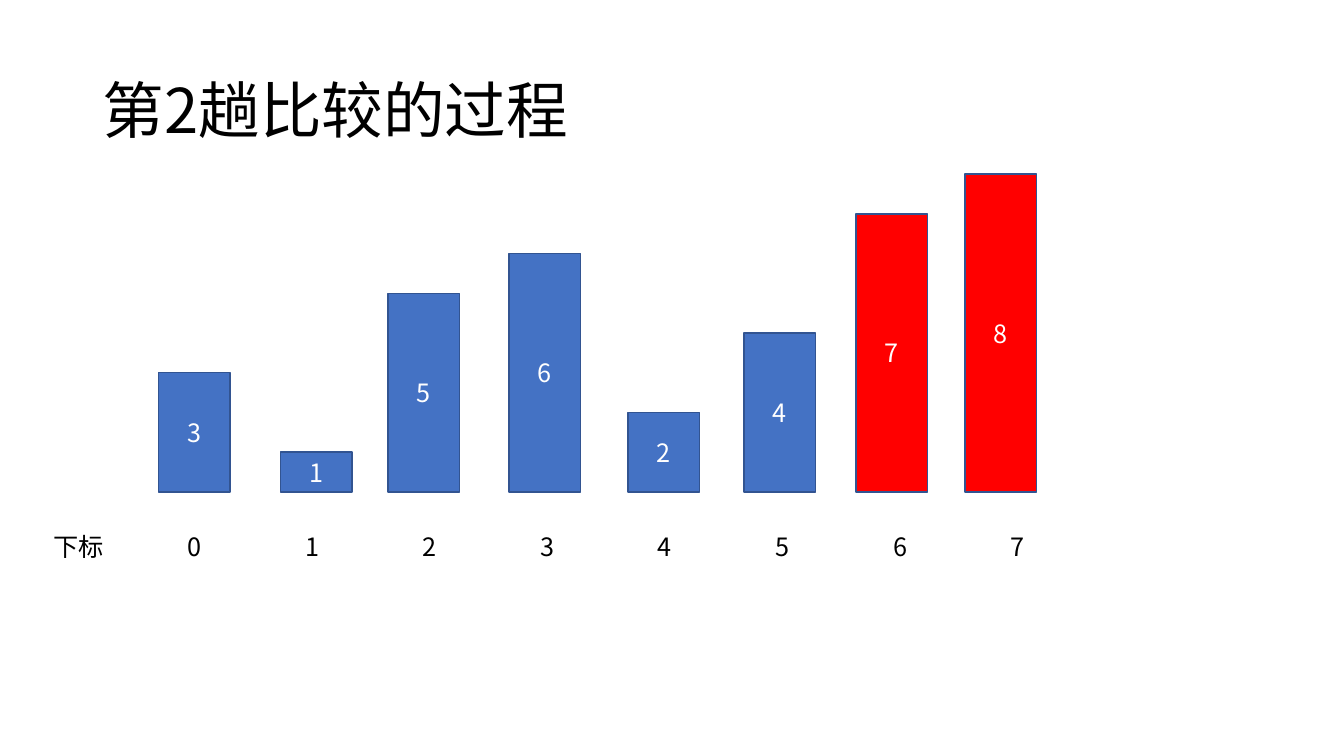
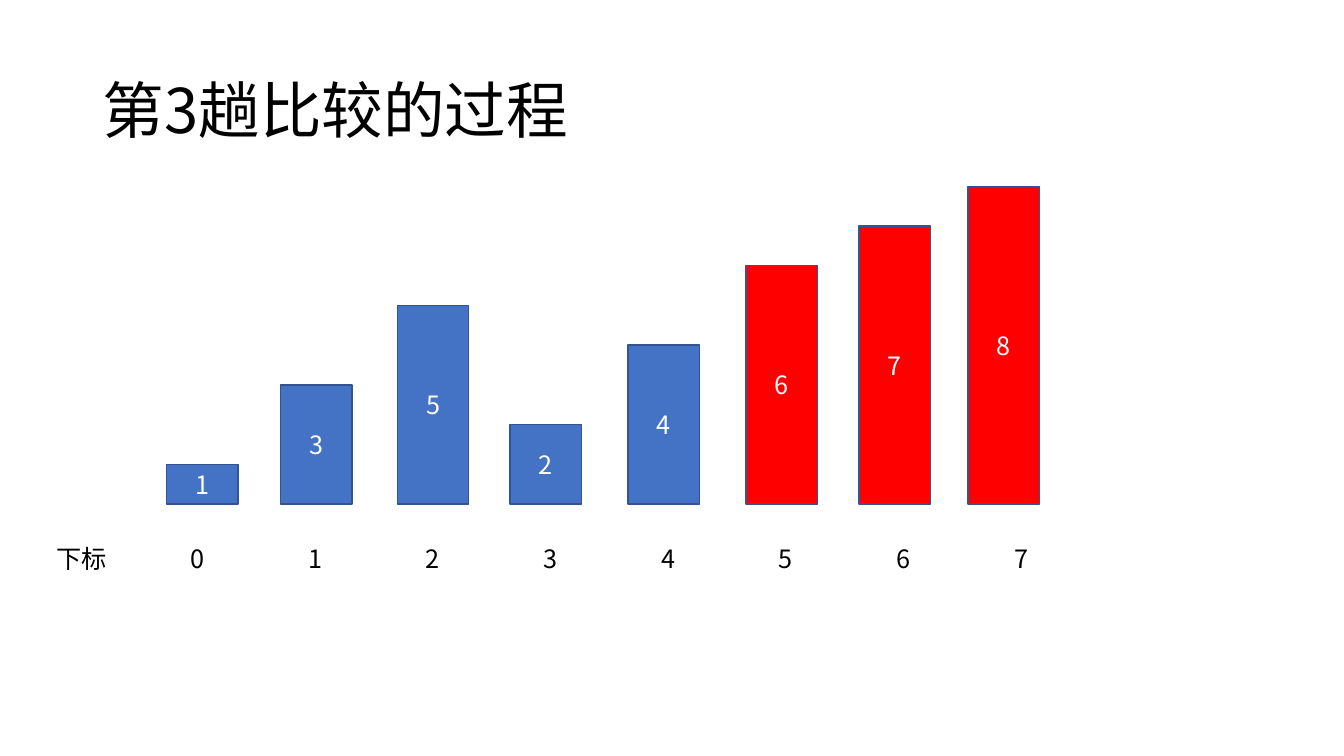
from lxml.etree import SubElement
from pptx import Presentation
from pptx.dml.color import RGBColor
from pptx.enum.shapes import MSO_SHAPE
from pptx.enum.text import MSO_ANCHOR, MSO_AUTO_SIZE, PP_ALIGN
from pptx.oxml.ns import qn
from pptx.util import Inches, Pt

# Shared style
FONT = "Noto Sans CJK SC"
BLACK, WHITE = "000000", "FFFFFF"
UNSORTED, SORTED, OUTLINE = "4472C4", "FF0000", "325491"
BAR_WIDTH, UNIT_HEIGHT = 0.71, 0.394
LABEL_STEP = 1.167


def color(value):
    return RGBColor.from_string(value)


class SortDeck:
    """Holds the deck style and the slide being filled."""

    def __init__(self):
        self.deck = Presentation()
        self.deck.slide_width = Inches(13.33)
        self.deck.slide_height = Inches(7.5)
        self.page = None

    def new_page(self):
        self.page = self.deck.slides.add_slide(self.deck.slide_layouts[6])

    def set_text(self, box, text, size, ink, frame_format, para_format):
        frame = box.text_frame
        para = frame.paragraphs[0]
        span = para.add_run()
        span.text = text
        formats = (
            (frame, frame_format),
            (para, para_format),
            (span.font, {"name": FONT, "size": Pt(size)}),
        )
        for target, values in formats:
            for name, value in values.items():
                setattr(target, name, value)
        span.font.color.rgb = color(ink)
        # Chinese characters take the East Asian typeface
        SubElement(span.font._element, qn("a:ea"), typeface=FONT)

    def title(self, text):
        box = self.page.shapes.add_textbox(
            Inches(0.92), Inches(0.4), Inches(11.5), Inches(1.45))
        self.set_text(box, text, 44, BLACK,
                      {"word_wrap": True,
                       "vertical_anchor": MSO_ANCHOR.MIDDLE},
                      {"line_spacing": 0.9})

    def bar(self, left, baseline, value, fill):
        height = value * UNIT_HEIGHT
        box = self.page.shapes.add_shape(
            MSO_SHAPE.RECTANGLE, Inches(left), Inches(baseline - height),
            Inches(BAR_WIDTH), Inches(height))
        box.shadow.inherit = False
        box.fill.solid()
        box.fill.fore_color.rgb = color(fill)
        box.line.color.rgb = color(OUTLINE)
        box.line.width = Pt(1)
        self.set_text(box, str(value), 18, WHITE,
                      {"vertical_anchor": MSO_ANCHOR.MIDDLE},
                      {"alignment": PP_ALIGN.CENTER})

    def label(self, left, top, width, text):
        box = self.page.shapes.add_textbox(
            Inches(left), Inches(top), Inches(width), Inches(0.4))
        self.set_text(box, text, 18, BLACK,
                      {"word_wrap": False,
                       "auto_size": MSO_AUTO_SIZE.SHAPE_TO_FIT_TEXT}, {})

    def index_row(self, left, top, count):
        self.label(left, top, 0.71, "下标")
        for index in range(count):
            self.label(left + 1.33 + index * LABEL_STEP, top, 0.34, str(index))


# Each pass: values in order, left edge of each bar, baseline, index row left
PASSES = {
    2: ([3, 1, 5, 6, 2, 4, 7, 8],
        [1.57, 2.78, 3.85, 5.05, 6.23, 7.38, 8.49, 9.57], 4.88, 0.43),
    3: ([1, 3, 5, 2, 4, 6, 7, 8],
        [1.65, 2.78, 3.94, 5.06, 6.23, 7.4, 8.52, 9.6], 5.0, 0.46),
}

slides = SortDeck()
for number, (values, lefts, baseline, row_left) in PASSES.items():
    slides.new_page()
    slides.title(f"第{number}趟比较的过程")
    # Each pass puts one more bar in its final place
    first_sorted = len(values) - number
    for position, (value, left) in enumerate(zip(values, lefts)):
        fill = SORTED if position >= first_sorted else UNSORTED
        slides.bar(left, baseline, value, fill)
    slides.index_row(row_left, baseline + 0.34, len(values))

slides.deck.save("out.pptx")
